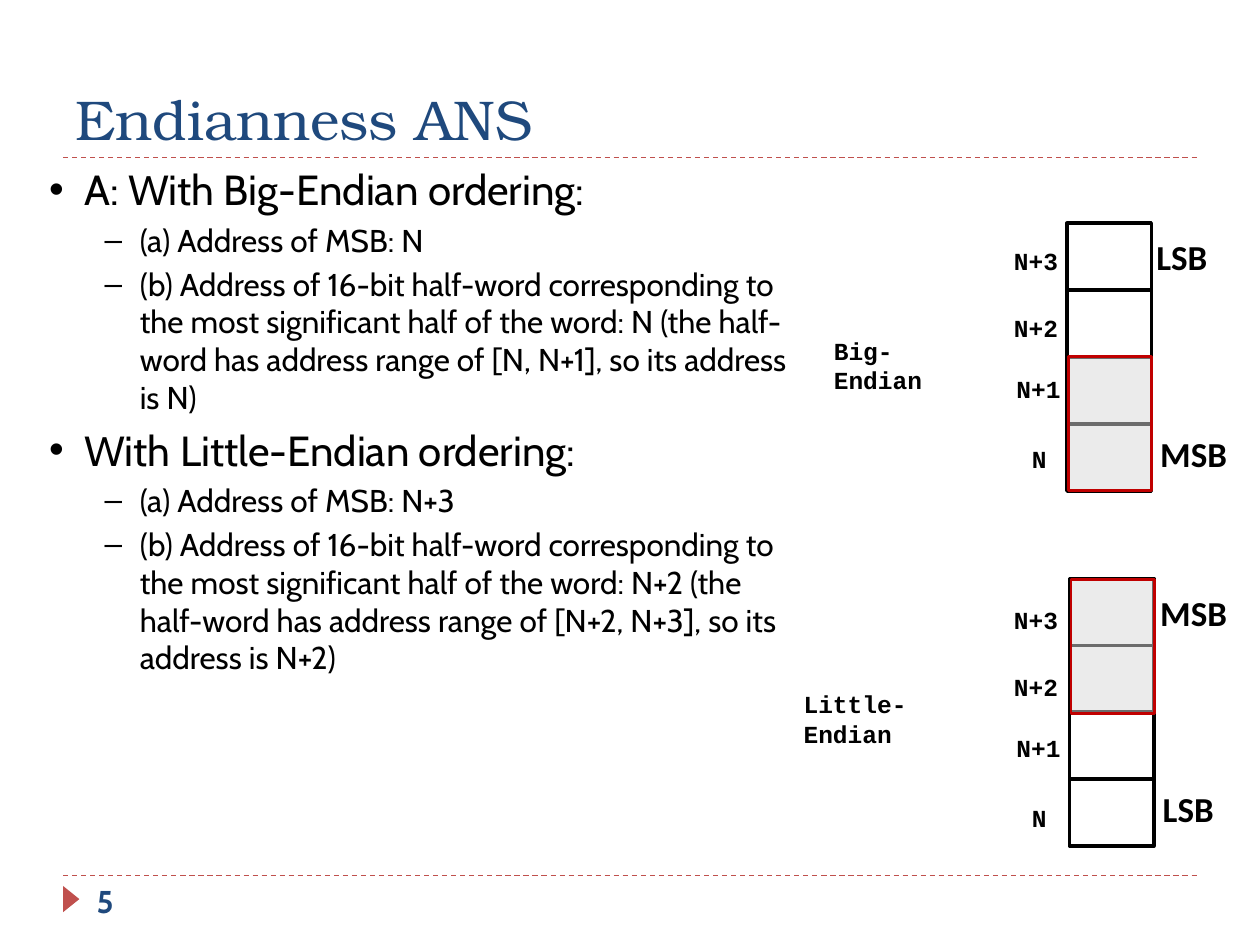
"""Build a slide comparing big-endian and little-endian byte ordering."""
from lxml.etree import SubElement
from pptx import Presentation
from pptx.dml.color import RGBColor
from pptx.enum.dml import MSO_LINE
from pptx.enum.shapes import MSO_CONNECTOR, MSO_SHAPE
from pptx.enum.text import MSO_ANCHOR
from pptx.oxml.ns import qn
from pptx.util import Cm, Pt

COLORS = {"title": "1F497D", "accent": "C0504D", "text": "000000", "cell": "FFFFFF",
          "highlight": "D9D9D9", "highlight_line": "C00000"}
HEADING, BODY, LABEL, CODE = "TeX Gyre Bonum", "Cabin", "Calibri", "Courier New"

ANSWERS = [
    (0, "A: With Big-Endian ordering:"),
    (1, "(a) Address of MSB: N"),
    (1, "(b) Address of 16-bit half-word corresponding to the most significant half "
        "of the word: N (the half-word has address range of [N, N+1], so its address is N)"),
    (0, "With Little-Endian ordering:"),
    (1, "(a) Address of MSB: N+3"),
    (1, "(b) Address of 16-bit half-word corresponding to the most significant half "
        "of the word: N+2 (the half-word has address range of [N+2, N+3], "
        "so its address is N+2)"),
]
LEVELS = [{"bullet": "•", "size": 24, "indent": 0.71},
          {"bullet": "–", "size": 18, "indent": 1.83}]
HANGING = 0.71

CELL_WIDTH, CELL_HEIGHT, CELL_COUNT = 1.7, 1.35, 4
ADDRESSES = [("N+3", 20.19, 0), ("N+2", 20.19, 1.35), ("N+1", 20.24, 2.59), ("N", 20.55, 3.99)]
MEMORIES = [
    {"name": ("Big-Endian", 16.56, 6.65, 3.2), "left": 21.51, "top": 4.5,
     "addresses_top": 4.83, "highlight": (21.54, 7.19),
     "bytes": [("LSB", 23.06, 4.62), ("MSB", 23.14, 8.59)]},
    {"name": ("Little-Endian", 15.95, 13.77, 3.76), "left": 21.56, "top": 11.66,
     "addresses_top": 12.07, "highlight": (21.59, 11.68),
     "bytes": [("MSB", 23.14, 11.79), ("LSB", 23.19, 15.75)]},
]


def color(name):
    return RGBColor.from_string(COLORS[name])


def format_runs(paragraph, font, size, color_name="text", bold=False):
    for run in paragraph.runs:
        run.font.name = font
        run.font.size = Pt(size)
        run.font.bold = bold
        run.font.color.rgb = color(color_name)


def add_text(slide, text, left, top, width, height, font, size, color_name="text", bold=False):
    text_frame = slide.shapes.add_textbox(Cm(left), Cm(top), Cm(width), Cm(height)).text_frame
    text_frame.word_wrap = True
    text_frame.text = text
    format_runs(text_frame.paragraphs[0], font, size, color_name, bold)
    return text_frame


def add_rule(slide, top):
    rule = slide.shapes.add_connector(MSO_CONNECTOR.STRAIGHT, Cm(1.27), Cm(top), Cm(24.13), Cm(top))
    rule.line.color.rgb = color("accent")
    rule.line.width = Pt(0.75)
    rule.line.dash_style = MSO_LINE.DASH
    SubElement(rule._element.spPr, qn("a:effectLst"))


def add_filled(slide, kind, left, top, width, height, fill, line=None, line_width=0):
    shape = slide.shapes.add_shape(kind, Cm(left), Cm(top), Cm(width), Cm(height))
    shape.shadow.inherit = False
    shape.fill.solid()
    shape.fill.fore_color.rgb = color(fill)
    if line:
        shape.line.color.rgb = color(line)
        shape.line.width = Pt(line_width)
    else:
        shape.line.fill.background()
    return shape


def add_answers(slide):
    text_frame = add_text(slide, "\n".join(text for _, text in ANSWERS),
                          0.74, 3.18, 15.62, 15.04, BODY, 24)
    for paragraph, (depth, _) in zip(text_frame.paragraphs, ANSWERS):
        level = LEVELS[depth]
        paragraph.level = depth
        paragraph.space_before = Pt(level["size"] * 0.2)
        format_runs(paragraph, BODY, level["size"])
        properties = paragraph._p.get_or_add_pPr()
        properties.set("marL", str(Cm(level["indent"])))
        properties.set("indent", str(-Cm(HANGING)))
        SubElement(properties, qn("a:buFont"), typeface="Arial")
        SubElement(properties, qn("a:buChar"), char=level["bullet"])


def add_memory(slide, memory):
    for index in range(CELL_COUNT):
        add_filled(slide, MSO_SHAPE.RECTANGLE, memory["left"], memory["top"] + index * CELL_HEIGHT,
                   CELL_WIDTH, CELL_HEIGHT, "cell", "text", 2)
    half_word = add_filled(slide, MSO_SHAPE.RECTANGLE, *memory["highlight"],
                           1.68, 2 * CELL_HEIGHT, "highlight", "highlight_line", 1.5)
    fill_color = half_word._element.spPr.find(qn("a:solidFill"))[0]
    SubElement(fill_color, qn("a:alpha"), val="50000")
    name, left, top, width = memory["name"]
    add_text(slide, name, left, top, width, 1.02, CODE, 14, bold=True)
    for text, left, offset in ADDRESSES:
        add_text(slide, text, left, memory["addresses_top"] + offset, 1.7, 1.02, CODE, 14, bold=True)
    for text, left, top in memory["bytes"]:
        add_text(slide, text, left, top, 2, 1.12, LABEL, 20, bold=True)


def main():
    presentation = Presentation()
    presentation.slide_width, presentation.slide_height = Cm(25.4), Cm(19.05)
    slide = presentation.slides.add_slide(presentation.slide_layouts[6])
    for top in (17.65, 3.18):
        add_rule(slide, top)
    marker = add_filled(slide, MSO_SHAPE.ISOSCELES_TRIANGLE, 1.17, 17.96, 0.53, 0.33, "accent")
    marker.rotation = 90
    title = add_text(slide, "Endianness ANS", 1.27, 0.64, 22.86, 2.54, HEADING, 32, "title")
    title.vertical_anchor = MSO_ANCHOR.BOTTOM
    add_text(slide, "5", 1.7, 17.65, 5.51, 1.02, BODY, 18, "title", bold=True)
    add_answers(slide)
    for memory in MEMORIES:
        add_memory(slide, memory)
    presentation.save("out.pptx")


if __name__ == "__main__":
    main()
